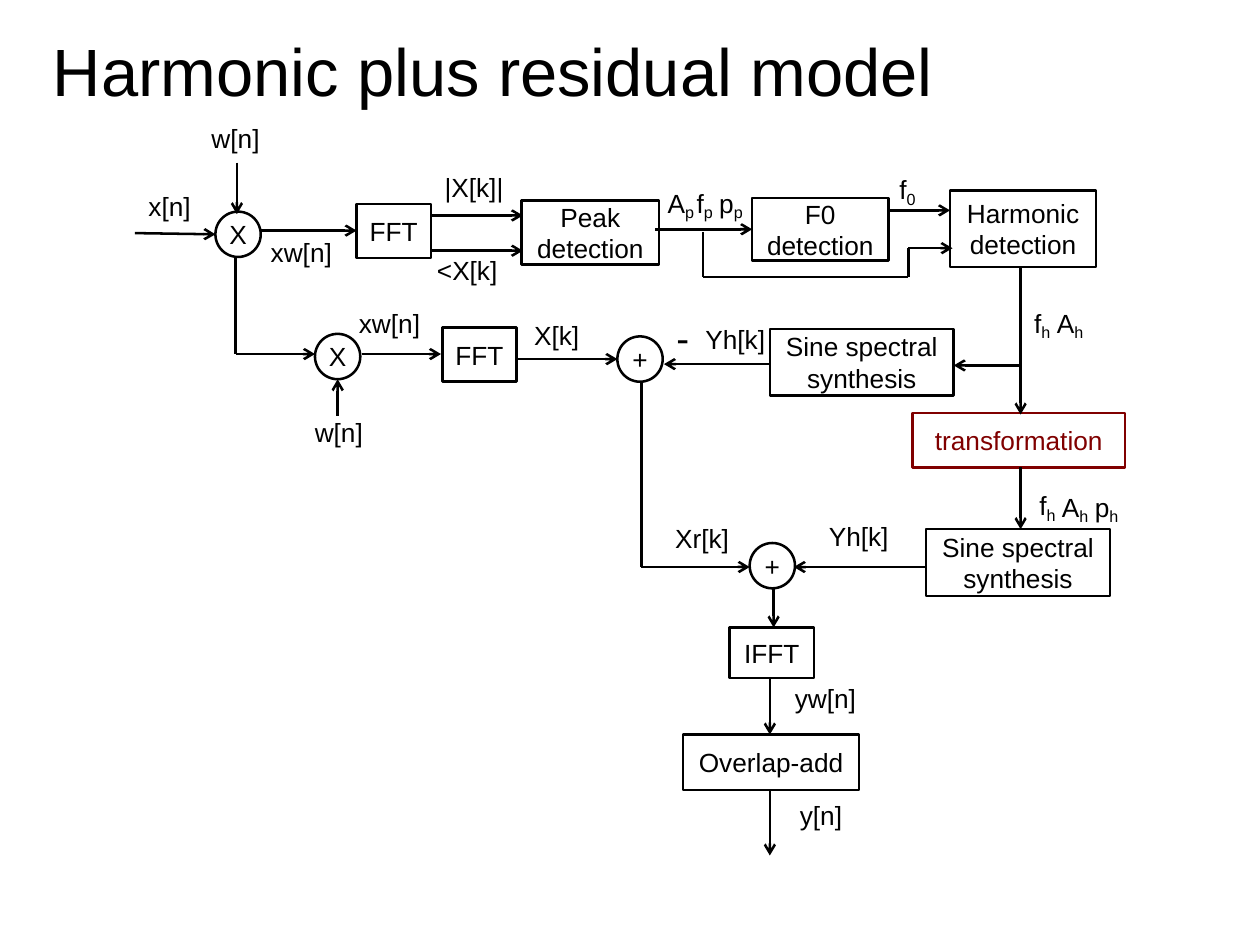
"""Draw the block diagram of a harmonic plus residual model."""
from dataclasses import dataclass

from lxml import etree
from pptx import Presentation
from pptx.dml.color import RGBColor
from pptx.enum.shapes import MSO_CONNECTOR, MSO_SHAPE
from pptx.enum.text import MSO_ANCHOR, MSO_AUTO_SIZE, PP_ALIGN
from pptx.oxml.ns import qn
from pptx.util import Inches, Pt

RECT, OVAL = MSO_SHAPE.RECTANGLE, MSO_SHAPE.OVAL
LINE = MSO_CONNECTOR.STRAIGHT
MIDDLE, CENTER = MSO_ANCHOR.MIDDLE, PP_ALIGN.CENTER
GROW = MSO_AUTO_SIZE.SHAPE_TO_FIT_TEXT


@dataclass(frozen=True)
class Theme:
    """Colours, font and sizes of the slide."""
    ink: RGBColor = RGBColor(0, 0, 0)
    accent: RGBColor = RGBColor(0x80, 0, 0)
    font: str = "Arial"
    title: float = 38.2
    body: float = 15
    sub: float = 15.8
    minus: float = 22
    stroke: float = 1.45
    node: float = 0.36
    spacing: float = 0.93


THEME = Theme()

BOXES = [
    (2.83, 1.62, 0.59, 0.43, ["FFT"]),
    (4.14, 1.59, 1.09, 0.51, ["Peak detection"]),
    (5.97, 1.57, 1.08, 0.5, ["F0", "detection"]),
    (7.54, 1.51, 1.16, 0.61, ["Harmonic", "detection"]),
    (3.51, 2.6, 0.59, 0.43, ["FFT"]),
    (6.11, 2.61, 1.46, 0.53, ["Sine spectral", "synthesis"]),
    (7.35, 4.2, 1.46, 0.53, ["Sine spectral", "synthesis"]),
    (5.79, 4.98, 0.67, 0.4, ["IFFT"]),
    (5.42, 5.83, 1.4, 0.44, ["Overlap-add"]),
]
NODES = [(1.71, 1.68, "X"), (2.5, 2.65, "X"), (4.9, 2.67, "+"), (5.95, 4.31, "+")]
ARROWS = [
    (1.07, 1.85, 1.71, 1.86), (1.88, 1.29, 1.88, 1.7), (2.07, 1.83, 2.83, 1.83),
    (3.42, 1.71, 4.15, 1.71), (3.42, 1.99, 4.15, 1.99), (5.2, 1.82, 5.97, 1.82),
    (7.05, 1.67, 7.54, 1.67), (7.21, 1.97, 7.56, 1.97), (1.87, 2.81, 2.5, 2.81),
    (2.87, 2.81, 3.5, 2.81), (2.68, 3.3, 2.68, 3.01), (4.09, 2.85, 4.9, 2.85),
    (6.1, 2.89, 5.27, 2.89), (8.1, 2.9, 7.57, 2.9), (8.1, 2.13, 8.1, 3.29),
    (8.1, 3.71, 8.1, 4.2), (5.09, 4.5, 5.95, 4.5), (7.35, 4.5, 6.3, 4.5),
    (6.14, 4.67, 6.14, 4.98), (6.11, 5.38, 6.11, 5.83), (6.11, 6.27, 6.11, 6.79),
]
LINES = [
    (1.87, 2.04, 1.87, 2.81), (5.09, 3.04, 5.09, 4.5), (5.58, 1.84, 5.58, 2.2),
    (5.58, 2.2, 7.21, 2.2), (7.21, 2.2, 7.21, 1.97),
]
LABELS = [
    (1.58, 0.94, 0.59, 0.34, "w[n]"), (1.08, 1.48, 0.54, 0.34, "x[n]"),
    (2.05, 1.85, 0.71, 0.34, "xw[n]"), (3.43, 1.33, 0.69, 0.34, "|X[k]|"),
    (3.37, 1.99, 0.7, 0.34, "<X[k]"), (2.75, 2.41, 0.78, 0.38, "xw[n]"),
    (2.4, 3.28, 0.66, 0.38, "w[n]"), (4.14, 2.51, 0.78, 0.38, "X[k]"),
    (5.5, 2.54, 0.7, 0.34, "Yh[k]"), (5.26, 4.12, 0.77, 0.38, "Xr[k]"),
    (6.48, 4.1, 0.7, 0.33, "Yh[k]"), (6.21, 5.39, 0.71, 0.34, "yw[n]"),
    (6.25, 6.32, 0.54, 0.34, "y[n]"),
]
SYMBOLS = [
    (5.2, 1.43, "A", "p"), (5.43, 1.43, "f", "p"), (5.61, 1.43, "p", "p"),
    (7.04, 1.32, "f", "0"), (8.11, 2.38, "f", "h"), (8.29, 2.38, "A", "h"),
    (8.15, 3.83, "f", "h"), (8.33, 3.84, "A", "h"), (8.59, 3.84, "p", "h"),
]
WIDTHS = {"A": 0.42, "f": 0.34, "p": 0.41}


def add_run(para, text, size=THEME.body, color=THEME.ink):
    """Add one styled run and return it."""
    run = para.add_run()
    run.text = text
    run.font.name, run.font.size = THEME.font, Pt(size)
    run.font.color.rgb = color
    return run


def set_inset(frame, side, top):
    """Set the inner margins of a text frame."""
    frame.margin_left = frame.margin_right = Inches(side)
    frame.margin_top = frame.margin_bottom = Inches(top)


def add_block(slide, kind, place, rows, color=THEME.ink):
    """Add an outlined shape with centred rows of text."""
    shape = slide.shapes.add_shape(kind, *map(Inches, place))
    shape.shadow.inherit = False
    shape.fill.background()
    shape.line.color.rgb, shape.line.width = color, Pt(THEME.stroke)
    frame = shape.text_frame
    frame.vertical_anchor = MIDDLE
    frame.word_wrap = kind == RECT
    set_inset(frame, *((0.1, 0.05) if kind == RECT else (0, 0)))
    for i, row in enumerate(rows):
        para = frame.add_paragraph() if i else frame.paragraphs[0]
        para.alignment = CENTER
        add_run(para, row, color=color)


def add_link(slide, ends, arrow):
    """Add a straight line, with an arrowhead at its end if asked."""
    link = slide.shapes.add_connector(LINE, *map(Inches, ends))
    link.line.color.rgb, link.line.width = THEME.ink, Pt(THEME.stroke)
    if arrow:
        etree.SubElement(link.line._get_or_add_ln(), qn("a:tailEnd"), type="arrow")
    etree.SubElement(link._element.spPr, qn("a:effectLst"))


def add_label(slide, place, text, sub="", size=THEME.body):
    """Add a signal name, with a subscript if given."""
    frame = slide.shapes.add_textbox(*map(Inches, place)).text_frame
    frame.word_wrap, frame.auto_size = False, GROW
    set_inset(frame, 0.1, 0.05)
    if sub:
        frame.margin_right = 0
    para = frame.paragraphs[0]
    para.line_spacing = THEME.spacing
    add_run(para, text, size)
    if sub:
        run = add_run(para, sub, THEME.sub)
        run._r.get_or_add_rPr().set("baseline", "-20000")


def add_title(slide, text):
    """Add the heading of the slide."""
    place = map(Inches, (0.42, 0.11, 9.58, 0.89))
    frame = slide.shapes.add_textbox(*place).text_frame
    frame.word_wrap, frame.vertical_anchor = True, MIDDLE
    set_inset(frame, 0, 0)
    add_run(frame.paragraphs[0], text, THEME.title)


def main():
    """Build and save the slide."""
    deck = Presentation()
    deck.slide_width, deck.slide_height = Inches(10), Inches(7.5)
    slide = deck.slides.add_slide(deck.slide_layouts[6])
    add_title(slide, "Harmonic plus residual model")
    for *place, rows in BOXES:
        add_block(slide, RECT, place, rows)
    add_block(slide, RECT, (7.24, 3.28, 1.69, 0.43), ["transformation"], THEME.accent)
    for x, y, sign in NODES:
        add_block(slide, OVAL, (x, y, THEME.node, THEME.node), [sign])
    for ends in LINES:
        add_link(slide, ends, False)
    for ends in ARROWS:
        add_link(slide, ends, True)
    for *place, text in LABELS:
        add_label(slide, place, text)
    for x, y, name, sub in SYMBOLS:
        add_label(slide, (x, y, WIDTHS[name], 0.37), name, sub)
    add_label(slide, (5.27, 2.48, 0.49, 0.54), "-", size=THEME.minus)
    deck.save("out.pptx")


if __name__ == "__main__":
    main()
